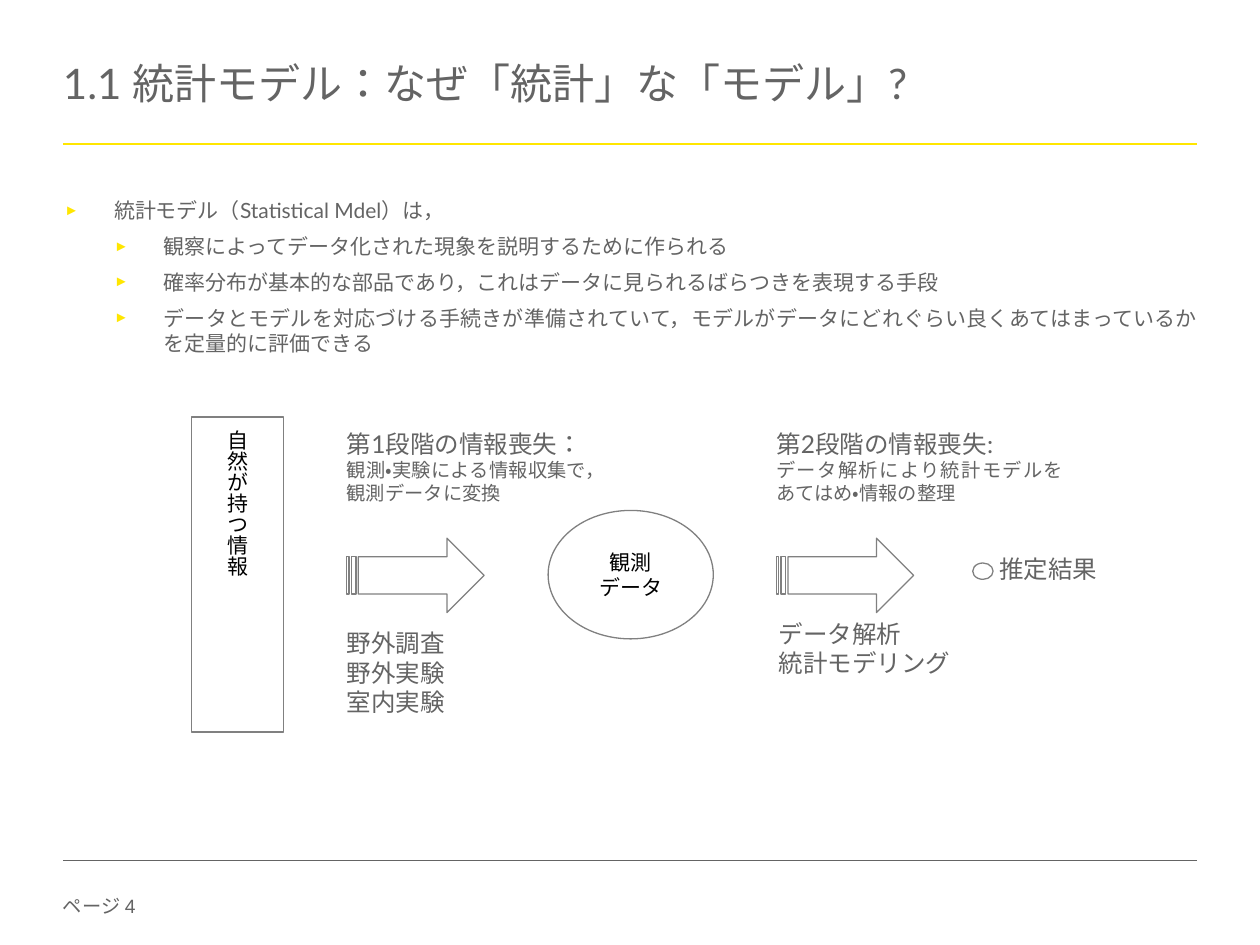
from dataclasses import dataclass

from lxml import etree
from pptx import Presentation
from pptx.dml.color import RGBColor
from pptx.enum.lang import MSO_LANGUAGE_ID as Lang
from pptx.enum.shapes import MSO_CONNECTOR as Connector, MSO_SHAPE as Preset
from pptx.enum.text import MSO_ANCHOR as Anchor, PP_ALIGN as Align
from pptx.oxml.ns import qn
from pptx.util import Cm, Pt


@dataclass(frozen=True)
class Theme:
    text: str = "646464"
    accent: str = "FFE600"
    outline: str = "808080"
    shape_text: str = "000000"
    heading_font: str = "Lato"
    shape_font: str = "Arial"
    title: float = 24
    label: float = 14
    body: float = 12
    small: float = 11


def set_all(target, values):
    for name, value in values.items():
        setattr(target, name, value)


class SlideBuilder:
    def __init__(self, page, theme):
        self.page = page
        self.theme = theme

    def add_span(self, para, words, size, font, color):
        span = para.add_run()
        span.text = words
        set_all(span.font, {"size": Pt(size), "name": font,
                            "language_id": Lang.JAPANESE})
        span.font.color.rgb = RGBColor.from_string(color)

    def paragraphs(self, frame, lines, font, color, style):
        """Fill a frame with (words, size) lines and return the paragraphs."""
        for index, (words, size) in enumerate(lines):
            para = frame.paragraphs[0] if index == 0 else frame.add_paragraph()
            set_all(para, style)
            self.add_span(para, words, size, font, color)
        return frame.paragraphs

    def text(self, area, lines, font=None, anchor=Anchor.TOP, **style):
        box = self.page.shapes.add_textbox(*map(Cm, area))
        frame = box.text_frame
        set_all(frame, {"word_wrap": True, "vertical_anchor": anchor,
                        "margin_left": 0, "margin_right": 0,
                        "margin_top": 0, "margin_bottom": 0})
        return self.paragraphs(frame, lines, font or self.theme.heading_font,
                               self.theme.text, style)

    def bullets(self, area, items):
        """Place (level, words) items as a bulleted list."""
        lines = [(words, self.theme.body) for _, words in items]
        paras = self.text(area, lines, alignment=Align.JUSTIFY)
        for index, (para, (level, _)) in enumerate(zip(paras, items)):
            para.level = level
            if index:
                para.space_before = Pt(6)
            props = para._p.get_or_add_pPr()
            props.set("marL", str(Cm(1 * (level + 1))))
            props.set("indent", str(-Cm(1)))
            color = etree.SubElement(props, qn("a:buClr"))
            etree.SubElement(color, qn("a:srgbClr"), val=self.theme.accent)
            etree.SubElement(props, qn("a:buSzPct"), val="70000")
            etree.SubElement(props, qn("a:buFont"), typeface="Arial")
            etree.SubElement(props, qn("a:buChar"), char="►")

    def shape(self, preset, area, words=(), align=Align.CENTER, vertical=False):
        shape = self.page.shapes.add_shape(preset, *map(Cm, area))
        shape.shadow.inherit = False
        shape.fill.background()
        shape.line.color.rgb = RGBColor.from_string(self.theme.outline)
        shape.line.width = Pt(0.75)
        frame = shape.text_frame
        frame.vertical_anchor = Anchor.MIDDLE
        if vertical:
            frame._txBody.bodyPr.set("vert", "eaVert")
        self.paragraphs(frame, [(line, self.theme.body) for line in words],
                        self.theme.shape_font, self.theme.shape_text,
                        {"alignment": align})

    def rule(self, top, color, width):
        line = self.page.shapes.add_connector(
            Connector.STRAIGHT, Cm(1.27), Cm(top), Cm(24.13), Cm(top))
        line.line.color.rgb = RGBColor.from_string(color)
        line.line.width = Pt(width)
        etree.SubElement(line._element.spPr, qn("a:effectLst"))


def main():
    deck = Presentation()
    deck.slide_width, deck.slide_height = Cm(25.4), Cm(19.05)
    theme = Theme()
    slide = SlideBuilder(deck.slides.add_slide(deck.slide_layouts[6]), theme)

    # Page frame: footer, rules and title
    slide.text((1.27, 18.03, 2.01, 0.56), [("ページ 4", theme.small)],
               font=theme.shape_font)
    slide.rule(2.9, theme.accent, 1.5)
    slide.rule(17.35, theme.text, 0.25)
    slide.text((1.27, 0.56, 22.86, 2.39),
               [("1.1 統計モデル：なぜ「統計」な「モデル」?", theme.title)],
               anchor=Anchor.MIDDLE, line_spacing=0.85)

    # Definition of a statistical model
    slide.bullets((1.3, 3.99, 22.86, 13.06), [
        (0, "統計モデル（Statistical Mdel）は，"),
        (1, "観察によってデータ化された現象を説明するために作られる"),
        (1, "確率分布が基本的な部品であり，これはデータに見られるばらつきを表現する手段"),
        (1, "データとモデルを対応づける手続きが準備されていて，"
            "モデルがデータにどれぐらい良くあてはまっているかを定量的に評価できる"),
    ])

    # Flow from nature through data to the estimate
    stage_1, stage_2 = 6.99, 15.65
    slide.shape(Preset.RECTANGLE, (3.86, 8.41, 1.85, 6.35),
                ["自然が持つ情報"], align=Align.LEFT, vertical=True)
    slide.shape(Preset.OVAL, (11.05, 10.29, 3.33, 2.59), ["観測", "データ"])
    for left in (stage_1, stage_2):
        slide.shape(Preset.STRIPED_RIGHT_ARROW, (left, 10.85, 2.77, 1.5))
    slide.shape(Preset.OVAL, (19.61, 11.35, 0.41, 0.33))

    # Stage headings with their explanations
    stages = [
        (stage_1, 5.21, "第1段階の情報喪失：",
         "観測・実験による情報収集で，観測データに変換"),
        (stage_2, 5.79, "第2段階の情報喪失:",
         "データ解析により統計モデルをあてはめ・情報の整理"),
    ]
    for left, width, heading, detail in stages:
        slide.text((left, 8.64, width, 1.17),
                   [(heading, theme.label), (detail, theme.small)],
                   alignment=Align.JUSTIFY)

    # Labels of the methods and the result
    labels = [
        ((stage_1, 12.67, 3.89, 2.36), Anchor.TOP,
         ["野外調査", "野外実験", "室内実験"]),
        ((15.7, 12.65, 3.89, 0.84), Anchor.MIDDLE,
         ["データ解析", "統計モデリング"]),
        ((20.14, 11.05, 2.64, 0.84), Anchor.MIDDLE, ["推定結果"]),
    ]
    for area, anchor, words in labels:
        slide.text(area, [(line, theme.label) for line in words],
                   anchor=anchor, alignment=Align.JUSTIFY)

    deck.save("out.pptx")


if __name__ == "__main__":
    main()
